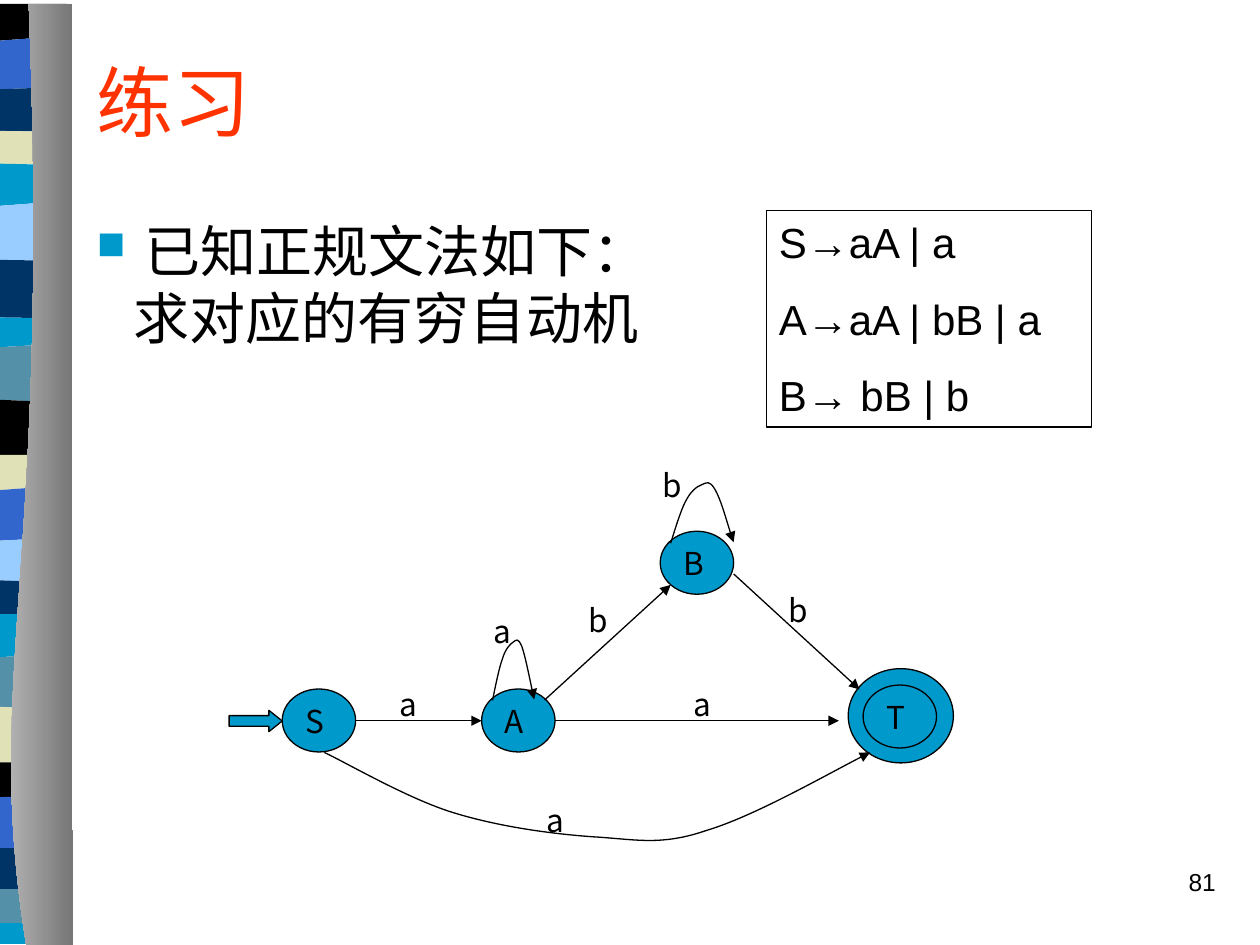
import pptx
import pptx.dml.color
import pptx.enum.dml
import pptx.enum.shapes
import pptx.enum.text
import pptx.oxml
import pptx.oxml.ns
import pptx.util
from lxml import etree

Cm, Pt = pptx.util.Cm, pptx.util.Pt
RGBColor = pptx.dml.color.RGBColor
PRESET = pptx.enum.shapes.MSO_SHAPE
ALIGN = pptx.enum.text.PP_ALIGN
ANCHOR = pptx.enum.text.MSO_ANCHOR
qn = pptx.oxml.ns.qn

BLACK = RGBColor(0x00, 0x00, 0x00)
TEAL = RGBColor(0x00, 0x99, 0xCC)
STEEL = RGBColor(0x54, 0x90, 0xA8)
CREAM = RGBColor(0xE1, 0xE1, 0xB7)
BLUE = RGBColor(0x33, 0x66, 0xCC)
NAVY = RGBColor(0x00, 0x33, 0x66)
SKY = RGBColor(0x99, 0xCC, 0xFF)
RED = RGBColor(0xFF, 0x33, 0x00)
LIGHT_GREY = RGBColor(0xCC, 0xCC, 0xCC)
DARK_GREY = RGBColor(0x76, 0x76, 0x76)

SANS, CJK = "Arial", "Noto Sans CJK SC"

# All positions are in centimetres.
TITLE = "练习"
TASK = ["已知正规文法如下：", "求对应的有穷自动机"]
GRAMMAR = ["S→aA | a", "A→aA | bB | a", "B→ bB | b"]
PAGE_NUMBER = "81"

# Colour of each ribbon band, with its top edge at the left and at the right
BANDS = [
    (BLACK, 0.08, 0.08), (BLUE, 0.82, 0.72), (NAVY, 1.8, 1.75),
    (CREAM, 2.64, 2.66), (TEAL, 3.3, 3.33), (SKY, 4.15, 4.05),
    (NAVY, 5.24, 5.26), (TEAL, 6.4, 6.42), (STEEL, 7.0, 6.92),
    (BLACK, 8.06, 8.12), (CREAM, 9.17, 9.17), (BLUE, 9.88, 9.78),
    (SKY, 10.9, 10.83), (NAVY, 11.7, 11.75), (TEAL, 12.38, 12.38),
    (STEEL, 13.25, 13.15), (CREAM, 14.25, 14.32), (BLACK, 15.37, 15.37),
    (BLUE, 16.07, 16.03), (NAVY, 17.1, 17.1), (STEEL, 17.93, 17.93),
    (TEAL, 18.6, 18.6),
]
RIBBON_BOTTOM, RIBBON_WIDTH = 19.03, 1.35
CYLINDER_EDGE = [(0.53, 19.05), (-0.36, 13.56), (1.04, 11.56), (0.58, 0.08)]
CYLINDER_RIGHT = [(1.45, 0.08), (1.47, 19.05)]

STATE_SIZE = (1.48, 1.27)
STATES = {"S": (5.69, 13.89), "A": (9.71, 13.89),
          "B": (13.31, 10.71), "T": (17.4, 13.81)}
FINAL_RING = (17.1, 13.48, 2.12, 1.9)
START_ARROW = (4.62, 14.32, 1.07, 0.43)

STRAIGHT_MOVES = [
    ((7.17, 14.53), (9.71, 14.53)),    # S to A
    ((11.19, 14.53), (16.91, 14.53)),  # A to T
    ((14.79, 11.57), (17.33, 13.9)),   # B to T
    ((10.98, 14.11), (13.52, 11.79)),  # A to B
]
# Each curve is a start followed by three points for every Bézier segment
CURVED_MOVES = [
    [(6.54, 15.17),                    # S to T
     (6.97, 15.37), (8.22, 16.1), (9.13, 16.38),
     (10.03, 16.66), (11.1, 16.81), (11.96, 16.87),
     (12.82, 16.92), (13.32, 17.06), (14.25, 16.74),
     (15.19, 16.46), (16.87, 15.5), (17.54, 15.17)],
    [(13.52, 10.95),                   # B to B
     (13.57, 10.8), (13.72, 10.29), (13.82, 10.11),
     (13.92, 9.91), (14.04, 9.81), (14.15, 9.77),
     (14.25, 9.73), (14.3, 9.68), (14.41, 9.86),
     (14.53, 10.06), (14.71, 10.72), (14.79, 10.93)],
    [(9.93, 14.12),                    # A to A
     (9.96, 13.97), (10.06, 13.46), (10.13, 13.28),
     (10.19, 13.08), (10.29, 12.98), (10.34, 12.95),
     (10.41, 12.9), (10.44, 12.85), (10.52, 13.03),
     (10.59, 13.23), (10.72, 13.89), (10.77, 14.1)],
]
MOVE_LABELS = [
    ("a", 7.8, 13.69), ("a", 10.77, 16.03), ("a", 9.7, 12.22),
    ("b", 13.11, 9.27), ("a", 13.74, 13.69), ("b", 15.65, 11.79),
    ("b", 11.61, 11.99),
]


def write(shape, lines, *, size=18, font=CJK, color=BLACK, align=ALIGN.LEFT,
          anchor=ANCHOR.TOP, gap=0):
    frame = shape.text_frame
    frame.word_wrap = True
    frame.vertical_anchor = anchor
    for number, line in enumerate(lines):
        paragraph = frame.add_paragraph() if number else frame.paragraphs[0]
        paragraph.alignment = align
        paragraph.space_before = Pt(gap if number else 0)
        run = paragraph.add_run()
        run.text = line
        run.font.size = Pt(size)
        run.font.color.rgb = color
        run.font.name = font
        etree.SubElement(run.font._element, qn("a:ea"), typeface=font)
    return frame


def box(slide, left, top, width, height):
    return slide.shapes.add_textbox(Cm(left), Cm(top), Cm(width), Cm(height))


def outline(shape):
    shape.line.color.rgb = BLACK
    shape.line.width = Pt(0.75)


def preset(slide, kind, left, top, width, height):
    shape = slide.shapes.add_shape(kind, Cm(left), Cm(top), Cm(width), Cm(height))
    shape.shadow.inherit = False
    shape.fill.solid()
    shape.fill.fore_color.rgb = TEAL
    outline(shape)
    return shape


def freeform(slide, points, curves=0, close=True):
    """Draw an outline whose first `curves` segments are Bézier curves."""
    start, *rest = [(Cm(x), Cm(y)) for x, y in points]
    builder = slide.shapes.build_freeform(*start)
    builder.add_line_segments(rest, close=close)
    shape = builder.convert_to_shape()
    shape.shadow.inherit = False
    steps = list(shape._element.iter(qn("a:lnTo")))
    for first in range(0, curves * 3, 3):
        curve = etree.Element(qn("a:cubicBezTo"))
        steps[first].addprevious(curve)
        for step in steps[first:first + 3]:
            curve.append(step[0])
            step.getparent().remove(step)
    return shape


def add_arrowhead(shape):
    outline(shape)
    etree.SubElement(shape.line._get_or_add_ln(), qn("a:tailEnd"), type="triangle")


def draw_ribbon(slide):
    bottoms = [band[1:] for band in BANDS[1:]] + [(RIBBON_BOTTOM, RIBBON_BOTTOM)]
    for (color, left_top, right_top), (left_bottom, right_bottom) in zip(BANDS, bottoms):
        band = freeform(slide, [(0, left_top), (RIBBON_WIDTH, right_top),
                                (RIBBON_WIDTH, right_bottom), (0, left_bottom)])
        band.fill.solid()
        band.fill.fore_color.rgb = color
        band.line.fill.background()
    cylinder = freeform(slide, CYLINDER_EDGE + CYLINDER_RIGHT, curves=1)
    cylinder.line.fill.background()
    cylinder.fill.gradient()
    cylinder.fill.gradient_angle = 0
    for stop, color in zip(cylinder.fill.gradient_stops, (LIGHT_GREY, DARK_GREY)):
        stop.color.rgb = color


def draw_task(slide):
    frame = write(box(slide, 1.7, 4.24, 13, 4), TASK, size=32)
    marked, follow_on = [p._p.get_or_add_pPr() for p in frame.paragraphs]
    marked.set("marL", str(Cm(0.97)))
    marked.set("indent", str(Cm(-0.97)))
    follow_on.set("marL", str(Cm(0.75)))
    color = etree.SubElement(marked, qn("a:buClr"))
    etree.SubElement(color, qn("a:srgbClr"), val=str(TEAL))
    etree.SubElement(marked, qn("a:buSzPct"), val="70000")
    etree.SubElement(marked, qn("a:buChar"), char="■")


def draw_automaton(slide):
    preset(slide, PRESET.OVAL, *FINAL_RING)
    for name, corner in STATES.items():
        state = preset(slide, PRESET.OVAL, *corner, *STATE_SIZE)
        write(state, [name], anchor=ANCHOR.MIDDLE)
    start = preset(slide, PRESET.RIGHT_ARROW, *START_ARROW)
    start.adjustments[1] = 0.625
    for begin, end in STRAIGHT_MOVES:
        move = slide.shapes.add_connector(
            pptx.enum.shapes.MSO_CONNECTOR.STRAIGHT, *map(Cm, begin + end))
        add_arrowhead(move)
        etree.SubElement(move._element.spPr, qn("a:effectLst"))
    for points in CURVED_MOVES:
        move = freeform(slide, points, curves=len(points) // 3, close=False)
        move.fill.background()
        add_arrowhead(move)
    for symbol, left, top in MOVE_LABELS:
        write(box(slide, left, top, 1.07, 1.02), [symbol])


def main():
    deck = pptx.Presentation()
    deck.slide_width, deck.slide_height = Cm(25.4), Cm(19.05)
    slide = deck.slides.add_slide(deck.slide_layouts[5])
    draw_ribbon(slide)
    title = slide.shapes.title
    title.left, title.top, title.width, title.height = map(Cm, (1.7, 0.43, 23.16, 3.18))
    write(title, [TITLE], size=44, color=RED, anchor=ANCHOR.MIDDLE)
    draw_task(slide)
    grammar = box(slide, 15.45, 4.24, 6.56, 4.37)
    outline(grammar)
    write(grammar, GRAMMAR, size=24, font=SANS, gap=15)
    draw_automaton(slide)
    write(box(slide, 19.48, 17.35, 5.28, 1.27), [PAGE_NUMBER], size=14, font=SANS,
          align=ALIGN.RIGHT)
    deck.save("out.pptx")


if __name__ == "__main__":
    main()
